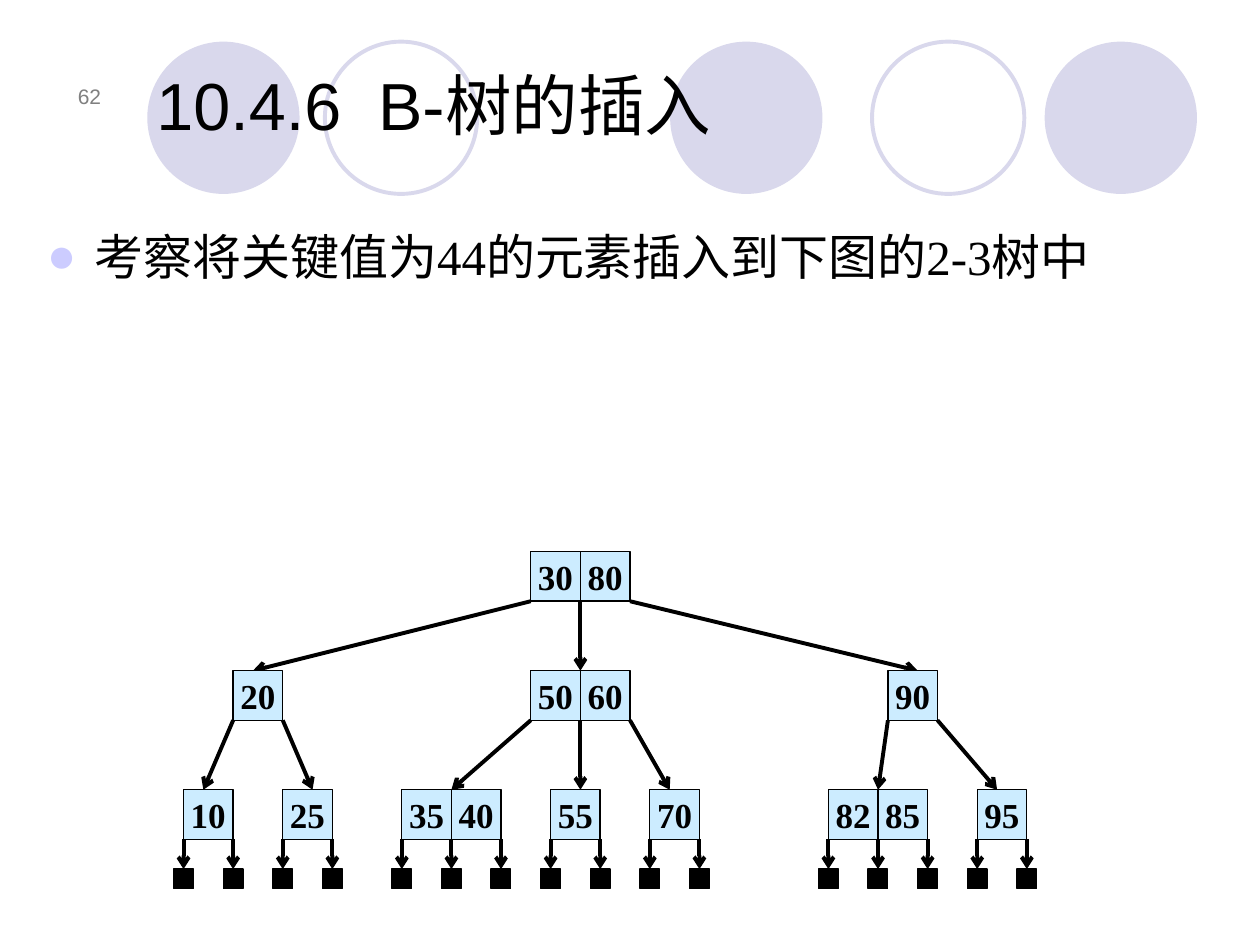
from dataclasses import dataclass

from lxml import etree
from pptx import Presentation
from pptx import util as u
from pptx.dml.color import RGBColor
from pptx.enum import shapes, text
from pptx.oxml.ns import qn


@dataclass(frozen=True)
class Theme:
    ink = RGBColor.from_string("000000")
    grey = RGBColor.from_string("808080")
    circle = RGBColor.from_string("D9D8EC")
    key = RGBColor.from_string("CCECFF")
    bullet = "CCCCFF"
    sans, serif = "Arial", "Times New Roman"
    number, key_size, body, title = u.Pt(12), u.Pt(20), u.Pt(28), u.Pt(38)
    thin, thick = u.Pt(0.75), u.Pt(2.25)


# The grid unit is one centimetre, which is also the side of a key cell
theme = Theme()
prs = Presentation()
prs.slide_width, prs.slide_height = u.Cm(25.4), u.Cm(19.05)
s = prs.slides.add_slide(prs.slide_layouts[1])
CELL, LEAF, CIRCLE = 1, 0.4, 3.07
ROOT_TOP, LEVEL_STEP, LEAF_TOP = 11.12, 2.4, 17.52


def add_box(kind, x, y, size, fill, line, width):
    sp = s.shapes.add_shape(kind, u.Cm(x), u.Cm(y), u.Cm(size), u.Cm(size))
    sp.shadow.inherit = False
    if fill is None:
        sp.fill.background()
    else:
        sp.fill.solid()
        sp.fill.fore_color.rgb = fill
    if line is None:
        sp.line.fill.background()
    else:
        sp.line.color.rgb = line
        sp.line.width = width
    return sp


def add_arrow(child_x, child_y, port_x, port_y):
    """Join a child to its parent's port, with the arrowhead at the child."""
    cxn = s.shapes.add_connector(shapes.MSO_CONNECTOR.STRAIGHT, u.Cm(child_x),
                                 u.Cm(child_y), u.Cm(port_x), u.Cm(port_y))
    cxn.line.color.rgb = theme.ink
    cxn.line.width = theme.thick
    etree.SubElement(cxn.line._get_or_add_ln(), qn("a:headEnd"), type="arrow")
    etree.SubElement(cxn._element.spPr, qn("a:effectLst"))


# Circles behind the title
circles = [(13.51, True), (21.06, True), (2.97, True), (17.58, False), (6.55, False)]
for i, (x, filled) in enumerate(circles):
    sp = add_box(shapes.MSO_SHAPE.OVAL, x, 0.84, CIRCLE,
                 theme.circle if filled else None,
                 None if filled else theme.circle, theme.thick)
    s.shapes._spTree.insert(2 + i, sp._element)

# Slide number, title and body
title, body = s.placeholders
number = s.shapes.add_textbox(0, 0, 0, 0)
texts = [
    (number, (0.89, 1.12, 1.4, 1.19), "62", theme.sans, theme.number, theme.grey,
     text.PP_ALIGN.RIGHT, text.MSO_ANCHOR.BOTTOM),
    (title, (2.9, 0.71, 20.8, 2.31), "10.4.6  B-树的插入", theme.sans, theme.title,
     theme.ink, text.PP_ALIGN.LEFT, text.MSO_ANCHOR.BOTTOM),
    (body, (0.69, 4.32, 24.2, 6.2), "考察将关键值为44的元素插入到下图的2-3树中",
     theme.serif, theme.body, theme.ink, text.PP_ALIGN.LEFT, text.MSO_ANCHOR.TOP),
]
for sp, place, words, font, size, colour, align, anchor in texts:
    sp.left, sp.top, sp.width, sp.height = map(u.Cm, place)
    tf = sp.text_frame
    tf.word_wrap = True
    tf.auto_size = text.MSO_AUTO_SIZE.NONE
    tf.vertical_anchor = anchor
    p = tf.paragraphs[0]
    p.text = words
    p.alignment = align
    p.font.name, p.font.size, p.font.color.rgb = font, size, colour

# Bullet of the body paragraph
p = body.text_frame.paragraphs[0]
p.line_spacing = 1.1
p.space_before = u.Pt(5.6)
pPr = p._p.get_or_add_pPr()
pPr.set("marL", str(u.Inches(0.38)))
pPr.set("indent", str(-u.Inches(0.38)))
bullet = [etree.Element(qn("a:buClr")),
          etree.Element(qn("a:buFont"), typeface=theme.sans),
          etree.Element(qn("a:buChar"), char="●")]
etree.SubElement(bullet[0], qn("a:srgbClr"), val=theme.bullet)
for i, el in enumerate(bullet):
    pPr.insert(len(pPr.findall(qn("a:lnSpc")) + pPr.findall(qn("a:spcBef"))) + i, el)

# Tree nodes: left column, keys, column where the parent's arrow arrives
levels = [
    [(10.7, (30, 80), None)],
    [(4.7, (20,), 5.1), (10.7, (50, 60), 11.7), (17.9, (90,), 18.5)],
    [(3.7, (10,), 4.1), (5.7, (25,), 6.3),
     (8.1, (35, 40), 9.1), (11.1, (55,), 11.7), (13.1, (70,), 13.5),
     (16.7, (82, 85), 17.7), (19.7, (95,), 20.1)],
]
for depth, nodes in enumerate(levels):
    top = ROOT_TOP + depth * LEVEL_STEP
    bottom = top + CELL
    is_last = depth == len(levels) - 1
    children = iter([] if is_last else levels[depth + 1])
    for left, keys, _ in nodes:
        for i, key in enumerate(keys):
            sp = add_box(shapes.MSO_SHAPE.RECTANGLE, left + i * CELL, top, CELL,
                         theme.key, theme.ink, theme.thin)
            tf = sp.text_frame
            tf.word_wrap = False
            tf.vertical_anchor = text.MSO_ANCHOR.MIDDLE
            p = tf.paragraphs[0]
            p.text = str(key)
            p.alignment = text.PP_ALIGN.CENTER
            p.font.name, p.font.size, p.font.bold = theme.serif, theme.key_size, True
            p.font.color.rgb = theme.ink

        # One port on each side of every key
        for i in range(len(keys) + 1):
            port = left + i * CELL
            if is_last:
                add_box(shapes.MSO_SHAPE.RECTANGLE, port - LEAF / 2, LEAF_TOP, LEAF,
                        theme.ink, theme.ink, theme.thin)
                add_arrow(port, LEAF_TOP, port, bottom)
            else:
                add_arrow(next(children)[2], top + LEVEL_STEP, port, bottom)

prs.save("out.pptx")
